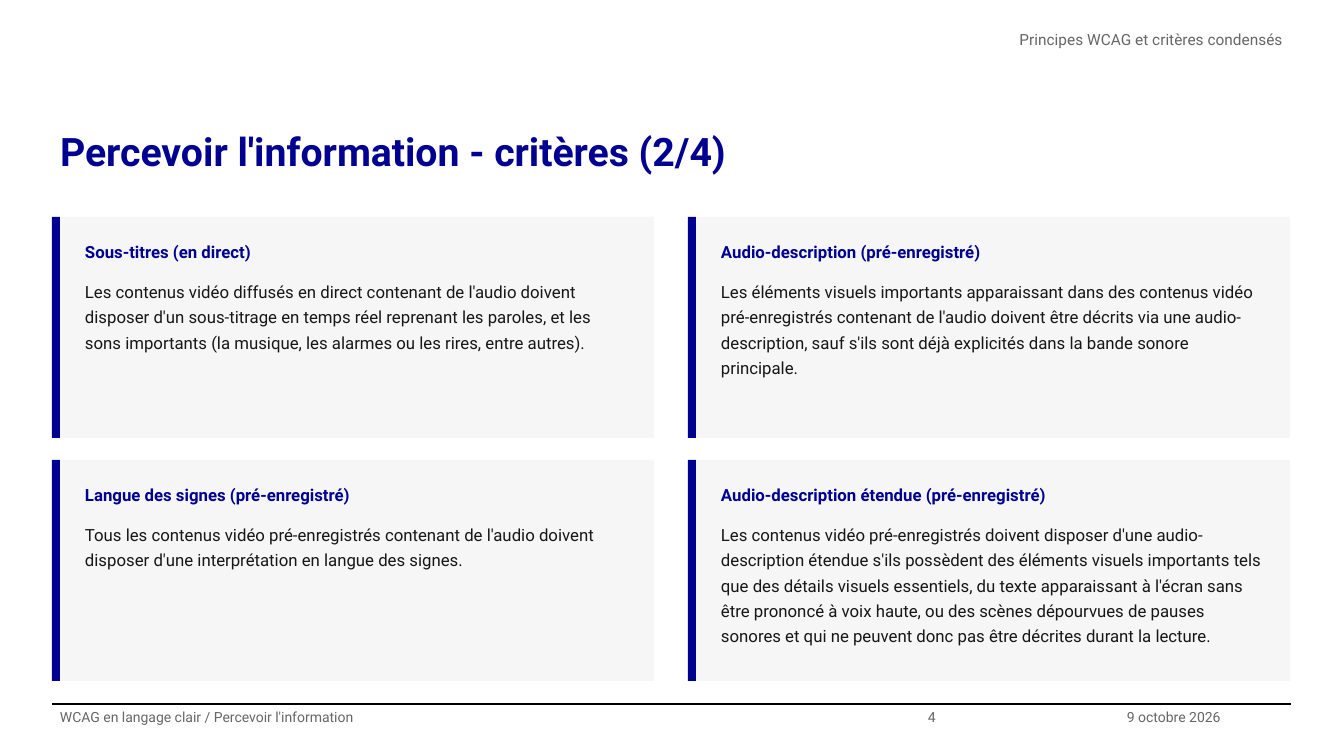
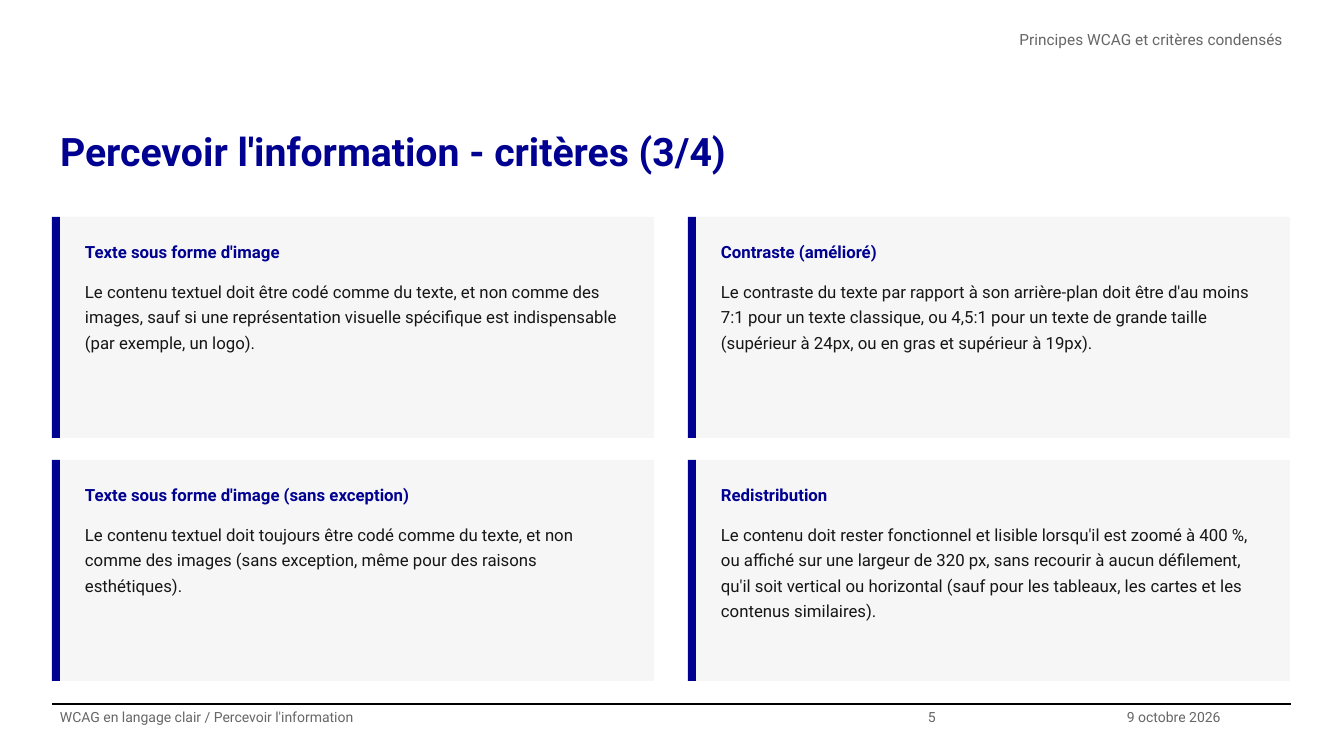
from pptx import Presentation
from pptx.dml.color import RGBColor
from pptx.enum.shapes import MSO_CONNECTOR, MSO_SHAPE
from pptx.enum.text import MSO_ANCHOR, MSO_AUTO_SIZE, PP_ALIGN
from pptx.oxml.ns import qn
from pptx.util import Pt
from lxml import etree

PX = 12192000 / 1344
BLUE, PALE, INK, GREY, BLACK = "000091", "F6F6F6", "161616", "666666", "000000"
FONT = "Roboto"
LEFT, RIGHT = 52, 1291
FOOT_Y, FOOT_H = 704, 52
CARD_Y, CARD_W, CARD_H = 217, 594, 221
COL_STEP, ROW_STEP = 636, 243
BAR_W = 8

HEADER = "Principes WCAG et critères condensés"
FOOTER = "WCAG en langage clair / Percevoir l'information"
DATE = "9 octobre 2026"

SLIDES = [
    (4, "Percevoir l'information - critères (2/4)", [
        ("Sous-titres (en direct)",
         "Les contenus vidéo diffusés en direct contenant de l'audio doivent "
         "disposer d'un sous-titrage en temps réel reprenant les paroles, et les "
         "sons importants (la musique, les alarmes ou les rires, entre autres)."),
        ("Audio-description (pré-enregistré)",
         "Les éléments visuels importants apparaissant dans des contenus vidéo "
         "pré-enregistrés contenant de l'audio doivent être décrits via une "
         "audio-description, sauf s'ils sont déjà explicités dans la bande sonore "
         "principale."),
        ("Langue des signes (pré-enregistré)",
         "Tous les contenus vidéo pré-enregistrés contenant de l'audio doivent "
         "disposer d'une interprétation en langue des signes."),
        ("Audio-description étendue (pré-enregistré)",
         "Les contenus vidéo pré-enregistrés doivent disposer d'une "
         "audio-description étendue s'ils possèdent des éléments visuels importants "
         "tels que des détails visuels essentiels, du texte apparaissant à l'écran "
         "sans être prononcé à voix haute, ou des scènes dépourvues de pauses "
         "sonores et qui ne peuvent donc pas être décrites durant la lecture."),
    ]),
    (5, "Percevoir l'information - critères (3/4)", [
        ("Texte sous forme d'image",
         "Le contenu textuel doit être codé comme du texte, et non comme des "
         "images, sauf si une représentation visuelle spécifique est indispensable "
         "(par exemple, un logo)."),
        ("Contraste (amélioré)",
         "Le contraste du texte par rapport à son arrière-plan doit être d'au moins "
         "7:1 pour un texte classique, ou 4,5:1 pour un texte de grande taille "
         "(supérieur à 24px, ou en gras et supérieur à 19px)."),
        ("Texte sous forme d'image (sans exception)",
         "Le contenu textuel doit toujours être codé comme du texte, et non comme "
         "des images (sans exception, même pour des raisons esthétiques)."),
        ("Redistribution",
         "Le contenu doit rester fonctionnel et lisible lorsqu'il est zoomé à 400 %, "
         "ou affiché sur une largeur de 320 px, sans recourir à aucun défilement, "
         "qu'il soit vertical ou horizontal (sauf pour les tableaux, les cartes et "
         "les contenus similaires)."),
    ]),
]


def emu(*lengths):
    """Turn px lengths into EMU."""
    return [round(n * PX) for n in lengths]


def add_text(s, box, text, size, color, bold=False, align=PP_ALIGN.LEFT, pad_y=0):
    tf = s.shapes.add_textbox(*emu(*box)).text_frame
    tf.word_wrap = True
    tf.auto_size = MSO_AUTO_SIZE.NONE
    tf.vertical_anchor = MSO_ANCHOR.TOP
    tf.margin_left, tf.margin_top, tf.margin_right, tf.margin_bottom = emu(8, pad_y, 8, pad_y)
    p = tf.paragraphs[0]
    p.alignment = align
    p.line_spacing = 1.25
    r = p.add_run()
    r.text = text
    r.font.name = FONT
    r.font.size = Pt(size)
    r.font.bold = bold
    r.font.color.rgb = RGBColor.from_string(color)


prs = Presentation()
prs.slide_width, prs.slide_height = emu(1344, 756)

for number, title, cards in SLIDES:
    s = prs.slides.add_slide(prs.slide_layouts[6])

    rule = s.shapes.add_connector(MSO_CONNECTOR.STRAIGHT, *emu(LEFT, FOOT_Y, RIGHT, FOOT_Y))
    rule.line.color.rgb = RGBColor.from_string(BLACK)
    rule.line.width = Pt(0.8)
    etree.SubElement(rule.element.spPr, qn("a:effectLst"))

    add_text(s, (LEFT, 116, RIGHT - LEFT, 106), title, 28, BLUE, bold=True)
    add_text(s, (487, 26, RIGHT - 487, 52), HEADER, 11, GREY, align=PP_ALIGN.RIGHT)
    for x, right, text in [(LEFT, 920, FOOTER), (920, 1119, str(number)), (1119, RIGHT, DATE)]:
        add_text(s, (x, FOOT_Y, right - x, FOOT_H), text, 10, GREY)

    for i, (heading, body) in enumerate(cards):
        row, col = divmod(i, 2)
        x, y = LEFT + col * COL_STEP, CARD_Y + row * ROW_STEP
        for left, width, color in [(x + BAR_W, CARD_W, PALE), (x, BAR_W, BLUE)]:
            sp = s.shapes.add_shape(MSO_SHAPE.RECTANGLE, *emu(left, y, width, CARD_H))
            sp.shadow.inherit = False
            sp.fill.solid()
            sp.fill.fore_color.rgb = RGBColor.from_string(color)
            sp.line.fill.background()
        add_text(s, (x + 25, y + 15, 561, 35), heading, 12, BLUE, bold=True, pad_y=5)
        add_text(s, (x + 25, y + 55, 561, 155), body, 12, INK, pad_y=5)

prs.save("out.pptx")
